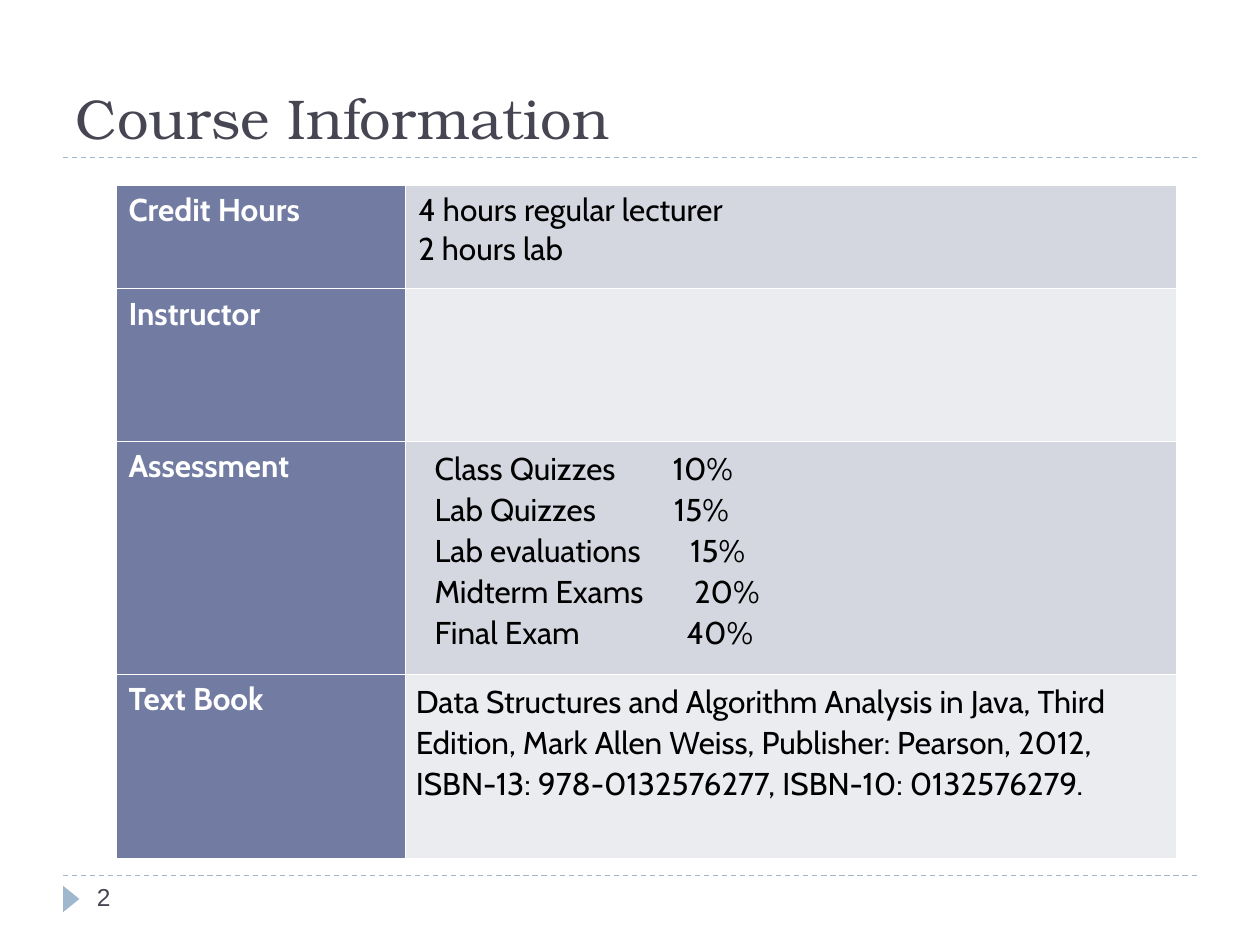
from pptx import Presentation
from pptx.dml.color import RGBColor
from pptx.enum.dml import MSO_LINE
from pptx.enum.shapes import MSO_CONNECTOR, MSO_SHAPE
from pptx.enum.text import MSO_ANCHOR, MSO_AUTO_SIZE, PP_ALIGN
from pptx.oxml.ns import qn
from pptx.util import Inches, Pt
from lxml import etree

STRAIGHT = MSO_CONNECTOR.STRAIGHT
TRIANGLE = MSO_SHAPE.ISOSCELES_TRIANGLE
DASH = MSO_LINE.DASH
BOTTOM = MSO_ANCHOR.BOTTOM
NO_AUTO_SIZE = MSO_AUTO_SIZE.NONE
LEFT = PP_ALIGN.LEFT

INK = RGBColor(0x46, 0x46, 0x53)
ACCENT = RGBColor(0x9F, 0xB8, 0xCD)
HEADER_FILL = RGBColor(0x72, 0x7C, 0xA3)
BAND_FILLS = [RGBColor(0xD5, 0xD7, 0xE0), RGBColor(0xEB, 0xEC, 0xF0)]
WHITE = RGBColor(0xFF, 0xFF, 0xFF)
BLACK = RGBColor(0, 0, 0)


def write_paragraph(paragraph, text, name, size, color, bold=False):
    paragraph.text = text
    paragraph.alignment = LEFT
    font = paragraph.font
    for attribute, value in {"name": name, "size": Pt(size), "bold": bold}.items():
        setattr(font, attribute, value)
    font.color.rgb = color


def style_cell(cell, fill_color):
    properties = cell._tc.get_or_add_tcPr()
    for side in ("lnL", "lnR", "lnT", "lnB"):
        border = etree.SubElement(properties, qn(f"a:{side}"), w=str(Pt(0.45)))
        solid = etree.SubElement(border, qn("a:solidFill"))
        etree.SubElement(solid, qn("a:srgbClr"), val=str(WHITE))
    cell.fill.solid()
    cell.fill.fore_color.rgb = fill_color


presentation = Presentation()
presentation.slide_width = Inches(10)
presentation.slide_height = Inches(7.5)
slide = presentation.slides.add_slide(presentation.slide_layouts[5])
shapes = slide.shapes

# Dashed rules above the footer and below the title
for y in (6.95, 1.25):
    rule = shapes.add_connector(STRAIGHT, Inches(0.5), Inches(y), Inches(9.5), Inches(y))
    rule.line.color.rgb = ACCENT
    rule.line.width = Pt(0.75)
    rule.line.dash_style = DASH
    etree.SubElement(rule._element.spPr, qn("a:effectLst"))

# Footer marker
marker = shapes.add_shape(TRIANGLE, Inches(0.46), Inches(7.07), Inches(0.21), Inches(0.13))
marker.rotation = 90
marker.shadow.inherit = False
marker.fill.solid()
marker.fill.fore_color.rgb = ACCENT
marker.line.fill.background()

# Title
title = shapes.title
title.left, title.top = Inches(0.5), Inches(0.17)
title.width, title.height = Inches(9), Inches(1.08)
title.text_frame.auto_size = NO_AUTO_SIZE
title.text_frame.vertical_anchor = BOTTOM
write_paragraph(title.text_frame.paragraphs[0], "Course Information",
                "TeX Gyre Bonum", 32, INK)

# Course table: heading, row height, left margin, line spacing, lines
ASSESSMENT = [
    ("Class Quizzes", "10%", 1.89),
    ("Lab Quizzes", "15%", 1.9),
    ("Lab evaluations", "15%", 2.03),
    ("Midterm Exams", "20%", 2.06),
    ("Final Exam", "40%", 2),
]
BOOK = ("Data Structures and Algorithm Analysis in Java, Third Edition, "
        "Mark Allen Weiss, Publisher: Pearson, 2012, "
        "ISBN-13: 978-0132576277, ISBN-10: 0132576279.")
ROWS = [
    ("Credit Hours", 0.82, 0.1, 1, ["4 hours regular lecturer", "2 hours lab"]),
    ("Instructor", 1.21, 0.1, 1, []),
    ("Assessment", 1.85, 0.23, 1.07, [f"{label}\t{share}" for label, share, _ in ASSESSMENT]),
    ("Text Book", 1.46, 0.08, 1.07, [BOOK]),
]
table = shapes.add_table(len(ROWS), 2, Inches(0.92), Inches(1.47),
                         Inches(8.42), Inches(5.34)).table
table.first_row = False
table.horz_banding = False
table.columns[0].width = Inches(2.3)
table.columns[1].width = Inches(6.12)

for index, (heading, height, margin, spacing, lines) in enumerate(ROWS):
    table.rows[index].height = Inches(height)
    heading_cell, detail_cell = table.cell(index, 0), table.cell(index, 1)
    style_cell(heading_cell, HEADER_FILL)
    style_cell(detail_cell, BAND_FILLS[index % 2])
    write_paragraph(heading_cell.text_frame.paragraphs[0], heading, "Cabin", 18, WHITE, True)
    detail_cell.margin_left = Inches(margin)
    detail_cell.margin_right = Inches(0.08)
    frame = detail_cell.text_frame
    for number, line in enumerate(lines):
        paragraph = frame.add_paragraph() if number else frame.paragraphs[0]
        paragraph.line_spacing = spacing
        if "\t" in line:
            tabs = etree.SubElement(paragraph._p.get_or_add_pPr(), qn("a:tabLst"))
            stop = Inches(ASSESSMENT[number][2])
            etree.SubElement(tabs, qn("a:tab"), pos=str(stop), algn="l")
        write_paragraph(paragraph, line, "Cabin", 18, BLACK)

# Slide number
number_box = shapes.add_textbox(Inches(0.67), Inches(6.95), Inches(2.17), Inches(0.4))
number_box.text_frame.word_wrap = True
write_paragraph(number_box.text_frame.paragraphs[0], "2", "Arial", 14, INK)

presentation.save("out.pptx")
